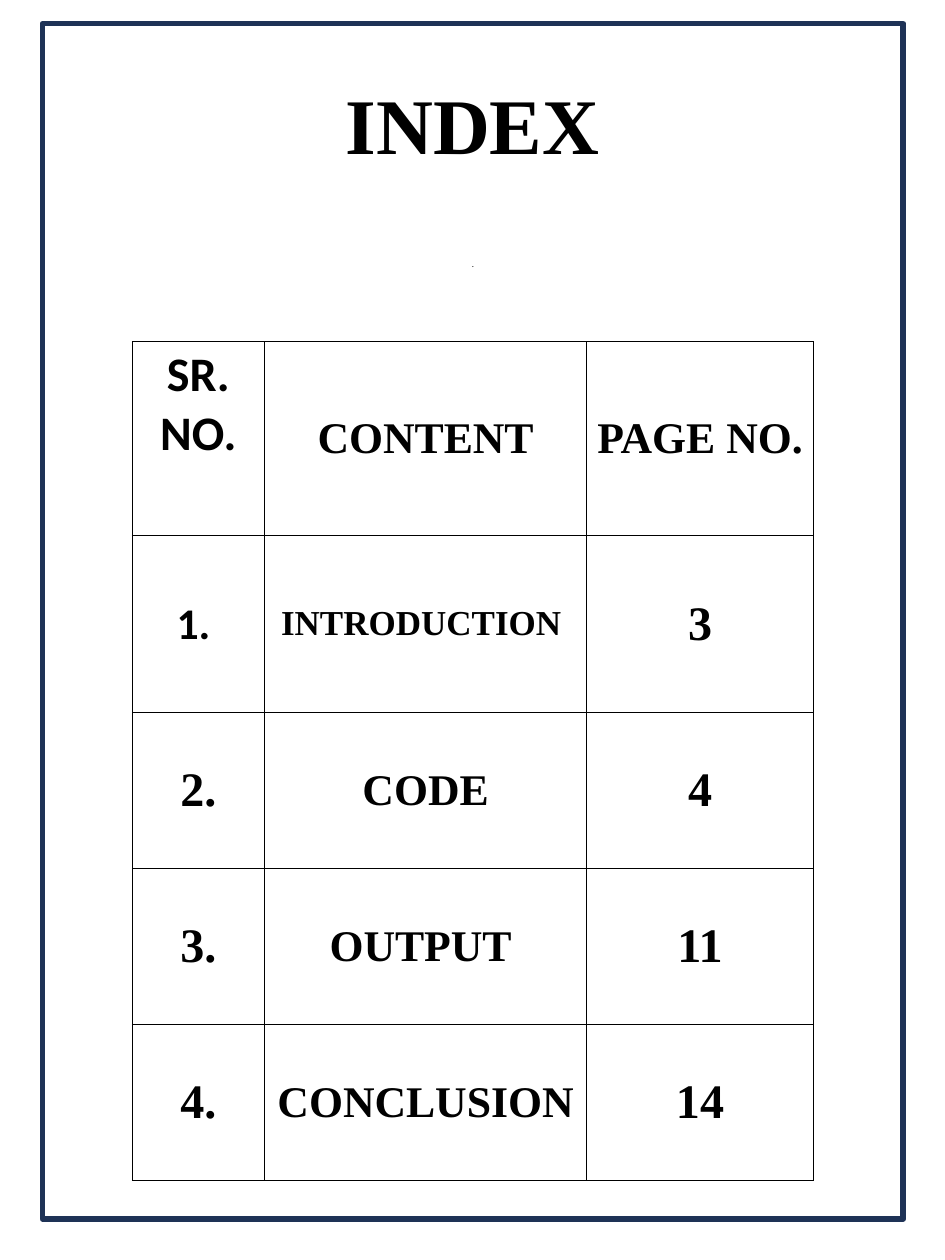
from lxml import etree
from pptx import Presentation
from pptx.dml.color import RGBColor
from pptx.enum.shapes import MSO_SHAPE
from pptx.enum.text import MSO_ANCHOR, MSO_AUTO_SIZE, PP_ALIGN
from pptx.oxml.ns import qn
from pptx.util import Inches, Pt

RECTANGLE = MSO_SHAPE.RECTANGLE
TOP, MIDDLE, BOTTOM = MSO_ANCHOR.TOP, MSO_ANCHOR.MIDDLE, MSO_ANCHOR.BOTTOM
NO_AUTOFIT = MSO_AUTO_SIZE.NONE
CENTER = PP_ALIGN.CENTER

BLACK = RGBColor(0x00, 0x00, 0x00)
WHITE = RGBColor(0xFF, 0xFF, 0xFF)
NAVY = RGBColor(0x1E, 0x32, 0x56)
SERIF, SANS = "Times New Roman", "Calibri"

HEADING = "INDEX"
SUBTITLE = "."
INDEX_ROWS = [
    ("SR. NO.", "CONTENT", "PAGE NO."),
    ("1. ", "INTRODUCTION ", "3"),
    ("2.", "CODE", "4"),
    ("3.", "OUTPUT ", "11"),
    ("4.", "CONCLUSION", "14"),
]
COLUMN_SIZES = (44, 40, 44)
SPECIAL_SIZES = {(0, 2): 40, (1, 0): 40, (1, 1): 32}
SANS_CELLS = {(0, 0), (1, 0)}
COLUMN_WIDTHS = (1.68, 4.09, 2.88)
ROW_HEIGHTS = (2.46, 2.25, 1.98, 1.98, 1.98)
TABLE_LEFT, TABLE_TOP = 1.68, 4.34
FRAME_BOX = (0.54, 0.3, 10.93, 15.18)
HEADING_BOX = (0.9, 0.86, 10.2, 1.37)
SUBTITLE_BOX = (0.54, 3.25, 10.93, 12.22)


def style_text(frame, anchor, font_name, size, bold):
    """Centre a text frame's paragraphs and format their runs."""
    frame.word_wrap = True
    frame.vertical_anchor = anchor
    for paragraph in frame.paragraphs:
        paragraph.alignment = CENTER
        for run in paragraph.runs:
            run.font.name = font_name
            run.font.size = Pt(size)
            run.font.bold = bold
            run.font.color.rgb = BLACK


def fill_placeholder(placeholder, text, box, anchor, font_name, size, bold):
    """Place a placeholder and set its text."""
    placeholder.left, placeholder.top, placeholder.width, placeholder.height = map(Inches, box)
    frame = placeholder.text_frame
    frame.text = text
    frame.auto_size = NO_AUTOFIT
    frame.paragraphs[0].line_spacing = 0.9
    style_text(frame, anchor, font_name, size, bold)


def outline_cell(cell):
    """Draw a thin black border on all four sides of a cell."""
    properties = cell._tc.get_or_add_tcPr()
    for position, side in enumerate(("a:lnL", "a:lnR", "a:lnT", "a:lnB")):
        border = etree.Element(qn(side), w=str(Pt(1)))
        solid = etree.SubElement(border, qn("a:solidFill"))
        etree.SubElement(solid, qn("a:srgbClr"), val=str(BLACK))
        properties.insert(position, border)


def add_frame(slide):
    """Add the navy page frame."""
    frame = slide.shapes.add_shape(RECTANGLE, *map(Inches, FRAME_BOX))
    frame.shadow.inherit = False
    frame.fill.background()
    frame.line.color.rgb = NAVY
    frame.line.width = Pt(5)


def add_index_table(slide):
    """Add the table of sections and page numbers."""
    index = slide.shapes.add_table(
        len(ROW_HEIGHTS), len(COLUMN_WIDTHS), Inches(TABLE_LEFT), Inches(TABLE_TOP),
        Inches(sum(COLUMN_WIDTHS)), Inches(sum(ROW_HEIGHTS))).table
    index.horz_banding = False
    for column, width in zip(index.columns, COLUMN_WIDTHS):
        column.width = Inches(width)
    for row, height in zip(index.rows, ROW_HEIGHTS):
        row.height = Inches(height)
    for r, entries in enumerate(INDEX_ROWS):
        for c, entry in enumerate(entries):
            cell = index.cell(r, c)
            cell.text_frame.text = entry
            anchor = TOP if (r, c) == (0, 0) else MIDDLE
            font_name = SANS if (r, c) in SANS_CELLS else SERIF
            size = SPECIAL_SIZES.get((r, c), COLUMN_SIZES[c])
            style_text(cell.text_frame, anchor, font_name, size, True)
            cell.vertical_anchor = anchor
            cell.fill.solid()
            cell.fill.fore_color.rgb = WHITE
            outline_cell(cell)


def main():
    """Build the index slide."""
    deck = Presentation()
    deck.slide_width, deck.slide_height = Inches(12), Inches(16)
    slide = deck.slides.add_slide(deck.slide_layouts[0])
    fill_placeholder(slide.shapes.title, HEADING, HEADING_BOX, BOTTOM, SERIF, 72, True)
    subtitle = slide.placeholders[1]
    fill_placeholder(subtitle, SUBTITLE, SUBTITLE_BOX, TOP, SANS, 8, False)
    subtitle.text_frame.paragraphs[0].space_before = Pt(12)
    add_frame(slide)
    add_index_table(slide)
    deck.save("out.pptx")


if __name__ == "__main__":
    main()
